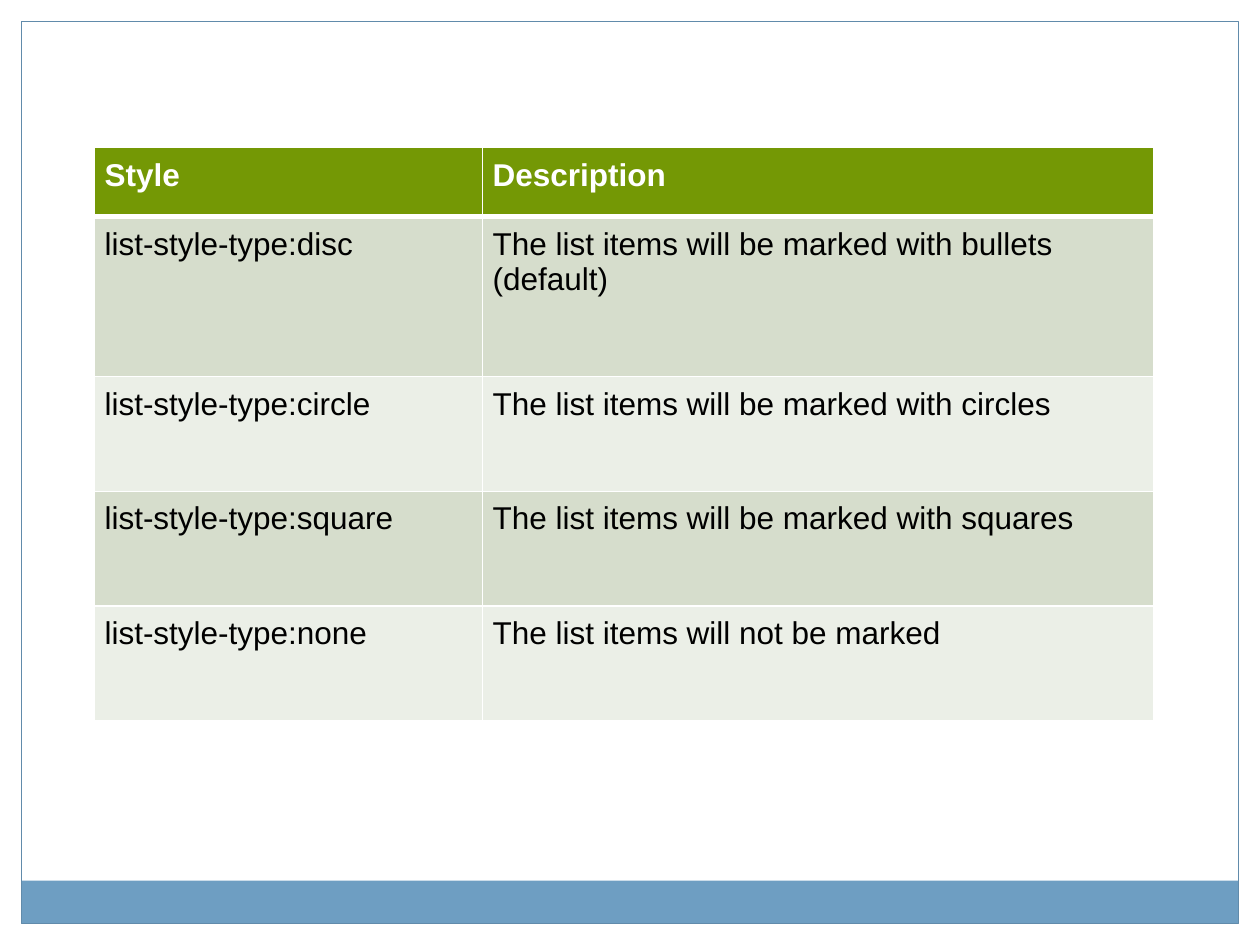
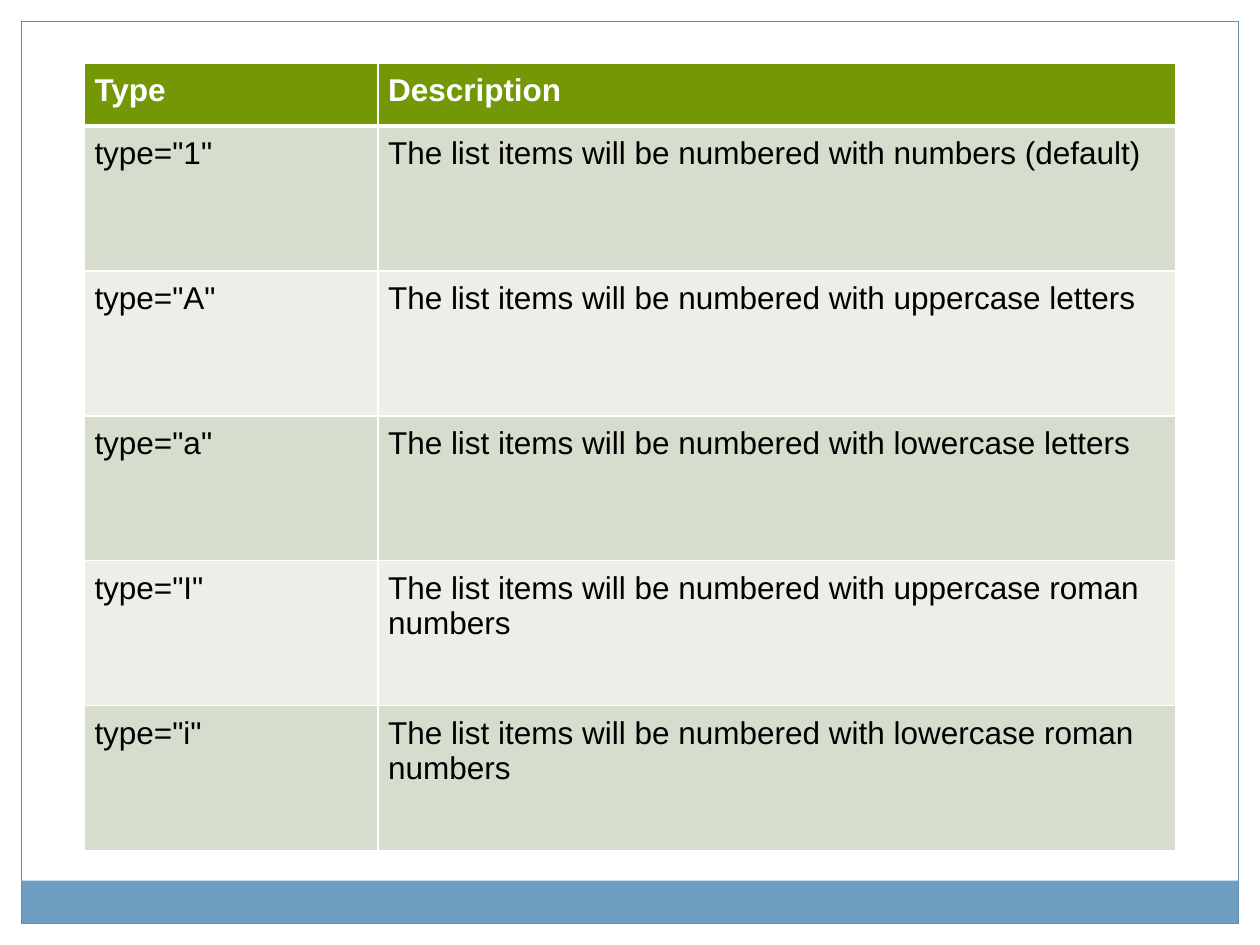
import lxml.etree
import pptx
import pptx.dml.color
import pptx.enum.shapes
import pptx.oxml.ns
import pptx.util

Inches = pptx.util.Inches
Pt = pptx.util.Pt

SLIDE_WIDTH, SLIDE_HEIGHT = 10, 7.5
MARGIN = 0.17
BAND_HEIGHT = 0.34
CELL_INSET = 0.08
FONT, FONT_SIZE = "Arial", 18
WHITE, BLACK = "FFFFFF", "000000"
BAND_BLUE, FRAME_BLUE = "6E9EC2", "618BAB"
HEADER_GREEN = "749805"
ROW_TINTS = ("D6DDCC", "EBEFE7")

LIST_STYLES = [
    ("Style", "Description"),
    ("list-style-type:disc", "The list items will be marked with bullets (default)"),
    ("list-style-type:circle", "The list items will be marked with circles"),
    ("list-style-type:square", "The list items will be marked with squares"),
    ("list-style-type:none", "The list items will not be marked"),
]
NUMBER_TYPES = [("Type", "Description")] + [
    (f'type="{mark}"', f"The list items will be numbered with {numbering}")
    for mark, numbering in (
        ("1", "numbers (default)"),
        ("A", "uppercase letters"),
        ("a", "lowercase letters"),
        ("I", "uppercase roman numbers"),
        ("i", "lowercase roman numbers"),
    )
]


def rgb(value):
    """Turn a hex string into a colour."""
    return pptx.dml.color.RGBColor.from_string(value)


def add_rectangle(slide, box, fill=None, line=None):
    """Draw a flat rectangle in the box (left, top, width, height)."""
    rectangle = slide.shapes.add_shape(
        pptx.enum.shapes.MSO_SHAPE.RECTANGLE, *map(Inches, box))
    rectangle.shadow.inherit = False
    if fill:
        rectangle.fill.solid()
        rectangle.fill.fore_color.rgb = rgb(fill)
    else:
        rectangle.fill.background()
    if line:
        rectangle.line.color.rgb = rgb(line)
        rectangle.line.width = Pt(0.75)
    else:
        rectangle.line.fill.background()


def add_page_frame(slide, box):
    """Draw the white margins, bottom band and outline of a page."""
    left, top, width, height = box
    inner_width = width - 2 * MARGIN
    inner_height = height - 2 * MARGIN
    band_top = top + height - MARGIN - BAND_HEIGHT
    add_rectangle(slide, (left, top, width, MARGIN), WHITE)
    for margin_left in (left + width - MARGIN, left):
        add_rectangle(slide, (margin_left, top, MARGIN, height), WHITE)
    add_rectangle(slide, (left + MARGIN, band_top, inner_width, BAND_HEIGHT), BAND_BLUE)
    add_rectangle(slide, (left + MARGIN, top + MARGIN, inner_width, inner_height),
                  line=FRAME_BLUE)


def set_borders(cell, top=1, bottom=1):
    """Give a cell white borders, with top and bottom widths in points."""
    properties = cell._tc.get_or_add_tcPr()
    for edge, width in (("L", 1), ("R", 1), ("T", top), ("B", bottom)):
        border = lxml.etree.SubElement(
            properties, pptx.oxml.ns.qn(f"a:ln{edge}"), w=str(Pt(width)))
        solid = lxml.etree.SubElement(border, pptx.oxml.ns.qn("a:solidFill"))
        lxml.etree.SubElement(solid, pptx.oxml.ns.qn("a:srgbClr"), val=WHITE)


def fill_cell(cell, text, row):
    """Write and style one cell according to its row."""
    is_header = row == 0
    set_borders(cell, top=3 if row == 1 else 1, bottom=3 if is_header else 1)
    cell.fill.solid()
    cell.fill.fore_color.rgb = rgb(HEADER_GREEN if is_header else ROW_TINTS[(row - 1) % 2])
    cell.margin_left = cell.margin_right = Inches(CELL_INSET)
    cell.margin_top = cell.margin_bottom = Inches(CELL_INSET)
    cell.text_frame.text = text
    font = cell.text_frame.paragraphs[0].runs[0].font
    font.name, font.size, font.bold = FONT, Pt(FONT_SIZE), is_header
    font.color.rgb = rgb(WHITE if is_header else BLACK)


def add_reference_table(slide, box, entries, first_width, row_heights):
    """Add a two-column reference table in the box."""
    table = slide.shapes.add_table(len(entries), 2, *map(Inches, box)).table
    for column, width in zip(table.columns, (first_width, box[2] - first_width)):
        column.width = Inches(width)
    for row, (entry, height) in enumerate(zip(entries, row_heights)):
        table.rows[row].height = Inches(height)
        for column, text in enumerate(entry):
            fill_cell(table.cell(row, column), text, row)


def add_reference_slide(deck, box, entries, first_width, row_heights):
    """Add a framed slide holding one reference table."""
    slide = deck.slides.add_slide(deck.slide_layouts[6])
    add_page_frame(slide, (0, 0, SLIDE_WIDTH, SLIDE_HEIGHT))
    add_reference_table(slide, box, entries, first_width, row_heights)


def main():
    """Build and save both slides."""
    deck = pptx.Presentation()
    deck.slide_width = Inches(SLIDE_WIDTH)
    deck.slide_height = Inches(SLIDE_HEIGHT)
    add_reference_slide(deck, (0.75, 1.17, 8.41, 4.55), LIST_STYLES,
                        3.08, [0.55, 1.27] + [0.91] * 3)
    add_reference_slide(deck, (0.67, 0.5, 8.66, 6.25), NUMBER_TYPES,
                        2.33, [0.5] + [1.15] * 5)
    deck.save("out.pptx")


if __name__ == "__main__":
    main()
